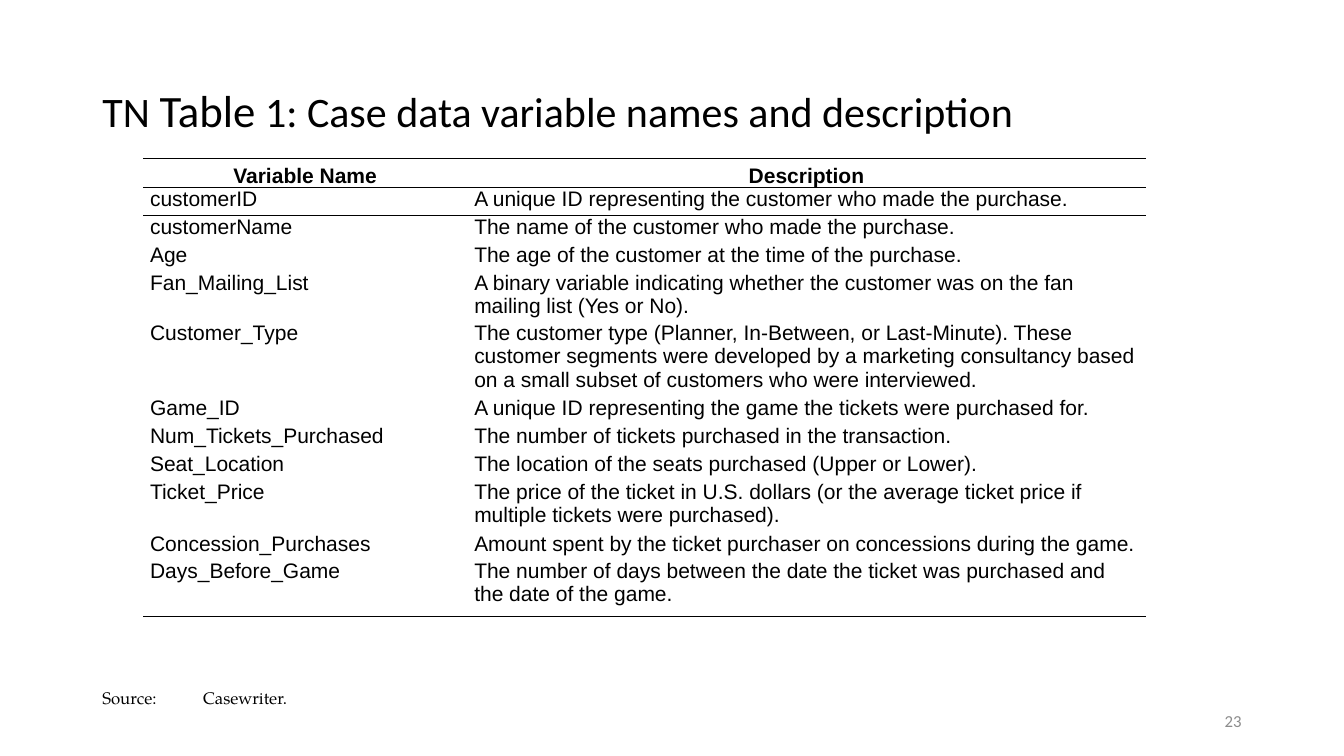
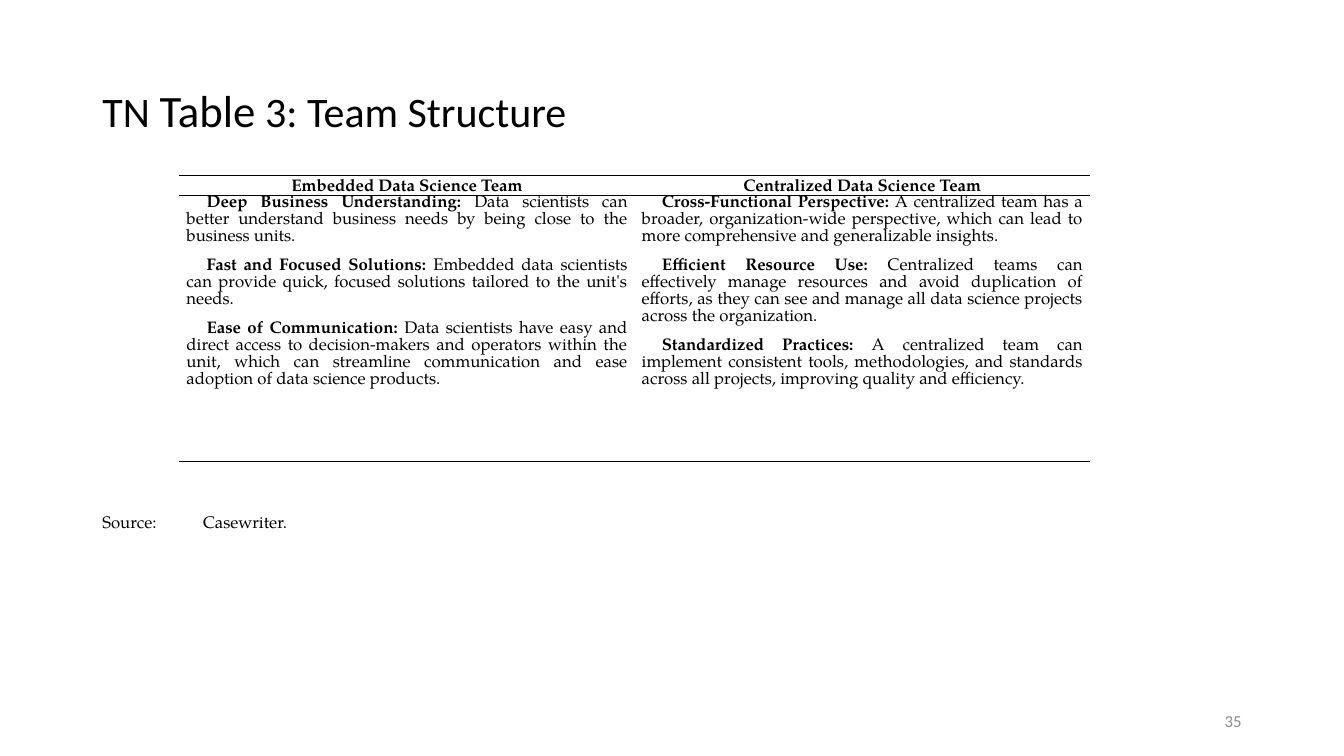
from lxml import etree
from pptx import Presentation
from pptx.dml.color import RGBColor
from pptx.enum import text as t
from pptx.oxml import ns
from pptx.util import Pt

BLACK = RGBColor(0x00, 0x00, 0x00)
GREY = RGBColor(0x8C, 0x8C, 0x8C)
SANS, SERIF, HEAD = "Arial", "TeX Gyre Pagella", "Calibri"
PLAIN = "{2D5ABB26-0587-4C30-8999-92F81FD0307C}"
LEFT, MID, RIGHT, FULL = (
    t.PP_ALIGN.LEFT, t.PP_ALIGN.CENTER, t.PP_ALIGN.RIGHT, t.PP_ALIGN.JUSTIFY)
TOP, CENTER, LOW = (
    t.MSO_ANCHOR.TOP, t.MSO_ANCHOR.MIDDLE, t.MSO_ANCHOR.BOTTOM)

TITLE_BOX = (66, 28.8, 828, 104.4)
PAGE_BOX = (678, 500.5, 216, 28.8)
NOTE_SIZE = (160, 21.6)

FIELDS = [
    ("customerID", "A unique ID representing the customer who made the purchase.", 20.1),
    ("customerName", "The name of the customer who made the purchase.", 20),
    ("Age", "The age of the customer at the time of the purchase.", 20),
    ("Fan_Mailing_List", "A binary variable indicating whether the customer was on "
     "the fan mailing list (Yes or No).", 35.8),
    ("Customer_Type", "The customer type (Planner, In-Between, or Last-Minute). "
     "These customer segments were developed by a marketing consultancy based "
     "on a small subset of customers who were interviewed.", 53.5),
    ("Game_ID", "A unique ID representing the game the tickets were purchased for.", 20),
    ("Num_Tickets_Purchased", "The number of tickets purchased in the transaction.", 20),
    ("Seat_Location", "The location of the seats purchased (Upper or Lower).", 20),
    ("Ticket_Price", "The price of the ticket in U.S. dollars (or the average "
     "ticket price if multiple tickets were purchased).", 37.1),
    ("Concession_Purchases", "Amount spent by the ticket purchaser on concessions "
     "during the game.", 19.6),
    ("Days_Before_Game", "The number of days between the date the ticket was "
     "purchased and the date of the game.", 40.8),
]
TEAMS = {
    "Embedded Data Science Team": [
        ("Deep Business Understanding:", " Data scientists can better understand "
         "business needs by being close to the business units."),
        ("Fast and Focused Solutions:", " Embedded data scientists can provide "
         "quick, focused solutions tailored to the unit's needs."),
        ("Ease of Communication:", " Data scientists have easy and direct access "
         "to decision-makers and operators within the unit, which can streamline "
         "communication and ease adoption of data science products."),
    ],
    "Centralized Data Science Team": [
        ("Cross-Functional Perspective:", " A centralized team has a broader, "
         "organization-wide perspective, which can lead to more comprehensive and "
         "generalizable insights."),
        ("Efficient Resource Use:", " Centralized teams can effectively manage "
         "resources and avoid duplication of efforts, as they can see and manage "
         "all data science projects across the organization."),
        ("Standardized Practices:", " A centralized team can implement consistent "
         "tools, methodologies, and standards across all projects, improving "
         "quality and efficiency."),
    ],
}


def assign(item, values):
    for key, value in values.items():
        setattr(item, key, value)


def place(shape, box):
    names = ("left", "top", "width", "height")
    assign(shape, {key: Pt(size) for key, size in zip(names, box)})


def write(para, runs, look, style):
    assign(para, style)
    for words, extra in runs:
        run = para.add_run()
        run.text = words
        values = {**look, **extra}
        run.font.color.rgb = values.pop("color", BLACK)
        assign(run.font, values)


def label(slide, box, words, look, align, anchor):
    shape = slide.shapes.add_textbox(*map(Pt, box))
    assign(shape.text_frame, {"word_wrap": True, "vertical_anchor": anchor})
    write(shape.text_frame.paragraphs[0], [(words, {})], look, {"alignment": align})


def head(slide, box, number, name):
    shape = slide.shapes.title
    place(shape, box)
    frame = shape.text_frame
    assign(frame, {"word_wrap": True, "vertical_anchor": CENTER,
                   "auto_size": t.MSO_AUTO_SIZE.NONE})
    runs = [("TN ", {}), ("Table", {"size": Pt(32)}), (f" {number}: {name}", {})]
    write(frame.paragraphs[0], runs, {"name": HEAD, "size": Pt(30)},
          {"alignment": LEFT, "line_spacing": 0.9})


def rule(cell, sides):
    props = cell._tc.get_or_add_tcPr()
    for spot, side in enumerate(sides):
        line = etree.Element(ns.qn(f"a:ln{side}"), w=str(Pt(1)))
        fill = etree.SubElement(line, ns.qn("a:solidFill"))
        etree.SubElement(fill, ns.qn("a:srgbClr"), val=str(BLACK))
        props.insert(spot, line)


def fill_cell(cell, paras, look, style, anchor, sides):
    assign(cell, {"margin_left": Pt(5), "margin_right": Pt(5), "margin_top": 0,
                  "margin_bottom": 0, "vertical_anchor": anchor})
    cell.fill.background()
    frame = cell.text_frame
    for spot, runs in enumerate(paras):
        para = frame.add_paragraph() if spot else frame.paragraphs[0]
        write(para, runs, look, style)
    rule(cell, sides)


def grid(slide, spot, cols, rows, cells, look, style, indent=0):
    box = (*spot, sum(cols), sum(rows))
    frame = slide.shapes.add_table(len(rows), len(cols), *map(Pt, box))
    table = frame.table
    assign(table, {"first_row": False, "horz_banding": False})
    table._tbl.tblPr.find(ns.qn("a:tableStyleId")).text = PLAIN
    for col, width in zip(table.columns, cols):
        col.width = Pt(width)
    for row, height in zip(table.rows, rows):
        row.height = Pt(height)
    last = len(rows) - 1
    for down, line in enumerate(cells):
        sides = "TB" if down == 0 else "T" * (down == 1) + "B" * (down == last)
        first = down == 0
        font = {**look, "bold": first}
        form = {**style, "alignment": MID, "space_after": Pt(0)} if first else style
        for across, paras in enumerate(line):
            cell = table.cell(down, across)
            fill_cell(cell, paras, font, form, LOW if first else TOP, sides)
            if indent and not first:
                for para in cell.text_frame.paragraphs:
                    para._p.get_or_add_pPr().set("indent", str(Pt(indent)))


def base(deck, number, name, page, low):
    slide = deck.slides.add_slide(deck.slide_layouts[5])
    head(slide, TITLE_BOX, number, name)
    label(slide, (TITLE_BOX[0], low, *NOTE_SIZE), "Source:\tCasewriter.",
          {"name": SERIF, "size": Pt(12)}, LEFT, TOP)
    label(slide, PAGE_BOX, str(page),
          {"name": HEAD, "size": Pt(12), "color": GREY}, RIGHT, CENTER)
    return slide


def data(deck):
    slide = base(deck, 1, "Case data variable names and description", 23, 487.5)
    pairs = [("Variable Name", "Description", 20.9), *FIELDS]
    cells = [[[[(words, {})]] for words in pair[:2]] for pair in pairs]
    grid(slide, (102.2, 113), (231.6, 484.6), [pair[2] for pair in pairs], cells,
         {"name": SANS, "size": Pt(15)},
         {"alignment": LEFT, "line_spacing": Pt(16.6)})


def team(deck):
    slide = base(deck, 3, "Team Structure", 35, 362.2)
    heads = [[[(name, {})]] for name in TEAMS]
    body = [[[(lead, {"bold": True}), (rest, {})] for lead, rest in points]
            for points in TEAMS.values()]
    grid(slide, (128.2, 125.3), (325.2, 325.2), (14.6, 190), [heads, body],
         {"name": SERIF, "size": Pt(12)},
         {"alignment": FULL, "line_spacing": Pt(12), "space_after": Pt(9)}, 14.4)


def main():
    deck = Presentation()
    assign(deck, {"slide_width": Pt(960), "slide_height": Pt(540)})
    data(deck)
    team(deck)
    deck.save("out.pptx")


if __name__ == "__main__":
    main()
